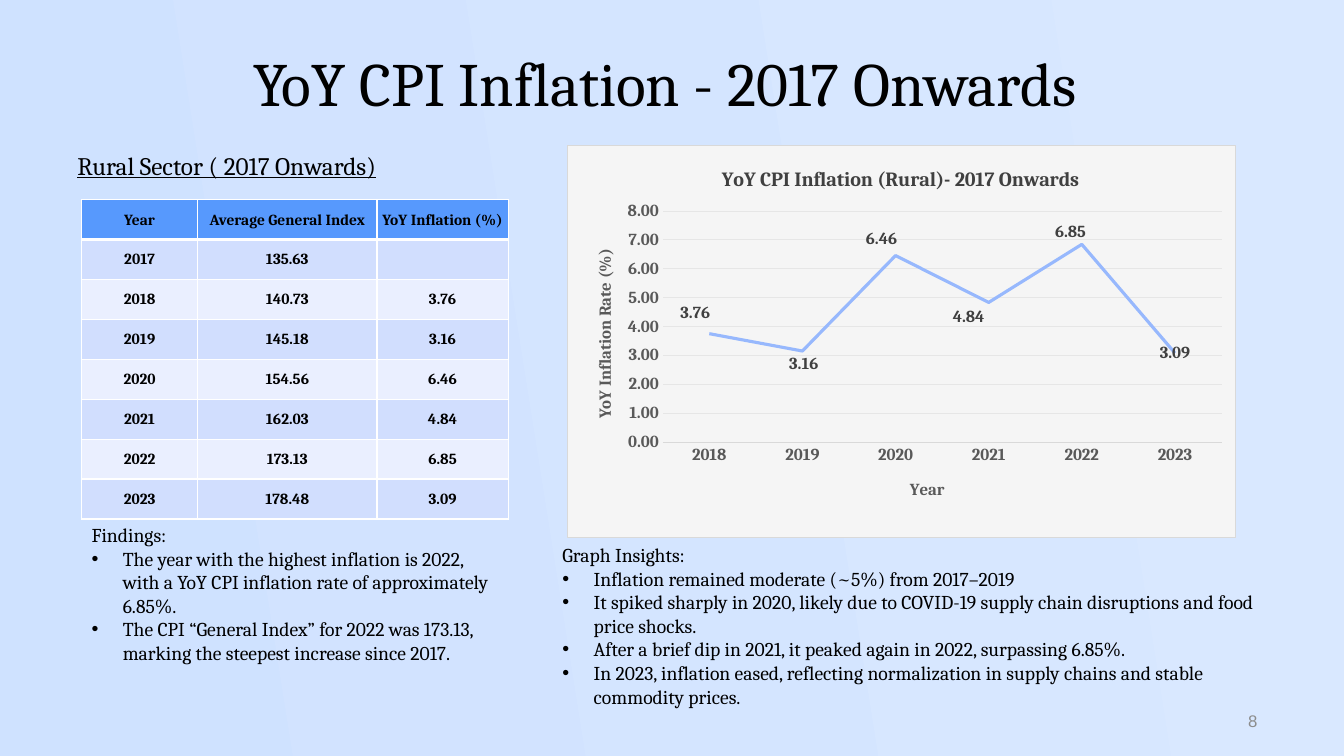
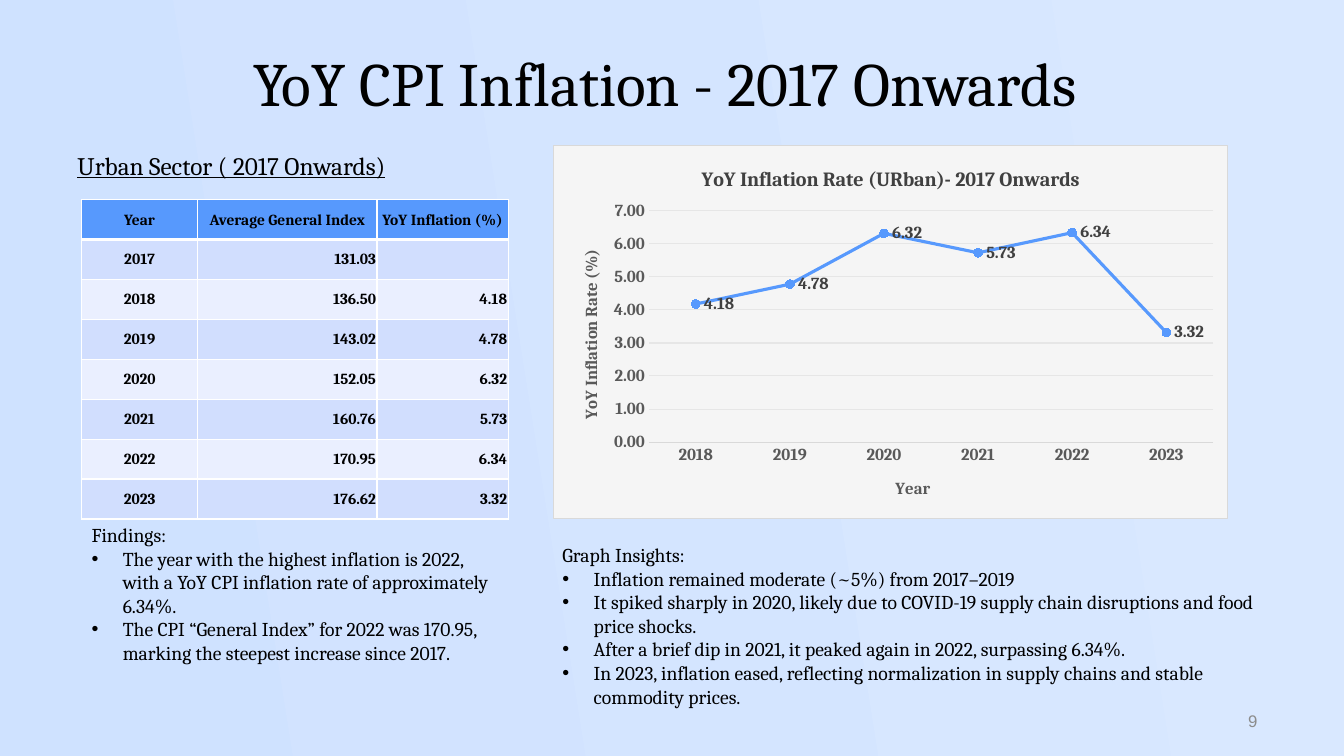
"""Build two slides on yearly CPI inflation in the rural and urban sectors."""
from lxml import etree
from pptx import Presentation
from pptx.chart.data import CategoryChartData
from pptx.dml.color import RGBColor
from pptx.enum import chart as charts, text as texts
from pptx.oxml import parse_xml
from pptx.oxml.ns import nsdecls, qn
from pptx.util import Inches, Pt

COLORS = {
    "sky": "CFE2FF", "pale sky": "D9E8FF", "header": "5799FD", "band": "D1DEFE",
    "light band": "EAEFFF", "white": "FFFFFF", "black": "000000", "number": "8C8C8C",
    "panel": "F5F5F5", "outline": "D9D9D9", "grid": "E6E6E6", "axis": "595959",
    "label": "404040", "rural": "97B8FD", "urban": "5799FD",
}
RGB = {role: RGBColor.from_string(value) for role, value in COLORS.items()}
FONT = "Cambria"
CENTER, RIGHT = texts.PP_ALIGN.CENTER, texts.PP_ALIGN.RIGHT
MIDDLE, BOTTOM = texts.MSO_ANCHOR.MIDDLE, texts.MSO_ANCHOR.BOTTOM
YEARS = ["2017", "2018", "2019", "2020", "2021", "2022", "2023"]
HEADINGS = ["Year", "Average General Index", "YoY Inflation (%)"]
COLUMN_WIDTHS = [1.15, 1.78, 1.3]

SECTORS = [
    dict(
        name="Rural", page="8", color=RGB["rural"], align=CENTER, markers=False,
        index=["135.63", "140.73", "145.18", "154.56", "162.03", "173.13", "178.48"],
        rates=["", "3.76", "3.16", "6.46", "4.84", "6.85", "3.09"],
        chart_title="YoY CPI Inflation (Rural)- 2017 Onwards ",
        chart_at=(5.62, 1.44, 6.64, 3.9), title_left=1.5, top_rate=8,
        label_position=charts.XL_LABEL_POSITION.CENTER,
        label_shifts=[(-0.14, -0.2), (0.01, 0.13), (-0.14, -0.16), (-0.2, 0.15), (-0.11, -0.12)],
    ),
    dict(
        name="Urban", page="9", color=RGB["urban"], align=RIGHT, markers=True,
        index=["131.03", "136.50", "143.02", "152.05", "160.76", "170.95", "176.62"],
        rates=["", "4.18", "4.78", "6.32", "5.73", "6.34", "3.32"],
        chart_title="YoY Inflation Rate (URban)- 2017 Onwards",
        chart_at=(5.48, 1.44, 6.7, 3.71), title_left=1.44, top_rate=7,
        label_position=charts.XL_LABEL_POSITION.RIGHT, label_shifts=[],
    ),
]


def write(frame, lines, size, color=RGB["black"], font=FONT, bold=False,
          underline=None, align=None, bullets=False):
    """Fill a text frame with lines; with bullets, all but the first are bulleted."""
    for number, line in enumerate(lines):
        paragraph = frame.add_paragraph() if number else frame.paragraphs[0]
        if bullets and number:
            properties = paragraph._p.get_or_add_pPr()
            properties.set("marL", str(Inches(0.31)))
            properties.set("indent", str(-Inches(0.31)))
            etree.SubElement(properties, qn("a:buFont")).set("typeface", "Arial")
            etree.SubElement(properties, qn("a:buChar")).set("char", "•")
        if align is not None:
            paragraph.alignment = align
        paragraph.font.size = Pt(size)
        run = paragraph.add_run()
        run.text = line
        run.font.name, run.font.size, run.font.bold = font, Pt(size), bold
        run.font.underline = underline
        run.font.color.rgb = color


def place(parent, position, fractions, edge=True):
    """Give a chart part a manual layout from fractions of the chart."""
    layout = parent.find(qn("c:layout"))
    if layout is None:
        layout = etree.Element(qn("c:layout"))
        parent.insert(position, layout)
    manual = etree.SubElement(layout, qn("c:manualLayout"))
    settings = {}
    if len(fractions) == 4:
        settings["layoutTarget"] = "inner"
    if edge:
        settings.update(xMode="edge", yMode="edge")
    settings.update(zip("xywh", fractions))
    for tag, value in settings.items():
        etree.SubElement(manual, qn("c:" + tag)).set("val", str(value))


prs = Presentation()
prs.slide_width, prs.slide_height = Inches(13.33), Inches(7.5)
backdrop = prs.slide_master.background.fill
backdrop.gradient()
backdrop.gradient_angle = 9
for stop, role in zip(backdrop.gradient_stops, ("sky", "pale sky")):
    stop.color.rgb = RGB[role]

for sector in SECTORS:
    slide = prs.slides.add_slide(prs.slide_layouts[6])
    peak = sector["rates"][5]

    findings = [
        "Findings:",
        f"The year with the highest inflation is 2022, with a YoY CPI inflation rate of approximately {peak}%.",
        f"The CPI “General Index” for 2022 was {sector['index'][5]}, marking the steepest increase since 2017.",
    ]
    insights = [
        "Graph Insights:",
        "Inflation remained moderate (~5%) from 2017–2019",
        "It spiked sharply in 2020, likely due to COVID-19 supply chain disruptions and food price shocks.",
        f"After a brief dip in 2021, it peaked again in 2022, surpassing {peak}%.",
        "In 2023, inflation eased, reflecting normalization in supply chains and stable commodity prices.",
    ]
    blocks = [
        ((0.76, 0.39, 11.81, 0.79), BOTTOM, 0, ["YoY CPI Inflation - 2017 Onwards "],
         dict(size=44, align=CENTER)),
        ((0.67, 1.44, 4.21, 0.54), None, 0.1, [f"{sector['name']} Sector ( 2017 Onwards)"],
         dict(size=18, underline=True)),
        ((0.81, 5.14, 4.23, 1.75), None, 0.1, findings, dict(size=14, bullets=True)),
        ((5.48, 5.34, 7.47, 2.1), None, 0.1, insights, dict(size=14, bullets=True)),
        ((9.57, 6.95, 3, 0.4), MIDDLE, 0.1, [sector["page"]],
         dict(size=12, font="Arial", color=RGB["number"], align=RIGHT)),
    ]
    for at, anchor, inset, lines, style in blocks:
        frame = slide.shapes.add_textbox(*map(Inches, at)).text_frame
        frame.word_wrap = True
        frame.margin_left = frame.margin_right = Inches(inset)
        frame.margin_top = frame.margin_bottom = Inches(inset / 2)
        if anchor is not None:
            frame.vertical_anchor = anchor
        write(frame, lines, **style)

    rows = [HEADINGS, *zip(YEARS, sector["index"], sector["rates"])]
    index_table = slide.shapes.add_table(
        len(rows), 3, Inches(0.81), Inches(1.98), Inches(4.23), Inches(3.17)).table
    index_table.horz_banding = False
    for column, width in zip(index_table.columns, COLUMN_WIDTHS):
        column.width = Inches(width)
    for r, row in enumerate(rows):
        band = "header" if r == 0 else "band" if r % 2 else "light band"
        for c, value in enumerate(row):
            cell = index_table.cell(r, c)
            cell.vertical_anchor = MIDDLE
            cell.margin_left = cell.margin_right = cell.margin_top = Inches(0.01)
            cell.margin_bottom = 0
            cell.fill.solid()
            cell.fill.fore_color.rgb = RGB[band]
            align = sector["align"] if r and c else CENTER
            write(cell.text_frame, [value], 11, bold=True, align=align)
            for place_in_order, side in enumerate("LRTB"):
                thick = (r, side) in ((0, "B"), (1, "T"))
                cell._tc.get_or_add_tcPr().insert(place_in_order, parse_xml(
                    f'<a:ln{side} {nsdecls("a")} w="{Pt(3 if thick else 1)}"><a:solidFill>'
                    f'<a:srgbClr val="{COLORS["white"]}"/></a:solidFill></a:ln{side}>'))

    data = CategoryChartData(number_format="0.00")
    data.categories = YEARS[1:]
    data.add_series("Series 1", [float(rate) for rate in sector["rates"][1:]])
    kind = charts.XL_CHART_TYPE.LINE_MARKERS if sector["markers"] else charts.XL_CHART_TYPE.LINE
    chart = slide.shapes.add_chart(kind, *map(Inches, sector["chart_at"]), data).chart
    width, height = sector["chart_at"][2:]
    chart.has_legend = False
    chart.font.name, chart.font.size, chart.font.bold = FONT, Pt(12), True
    chart.element.find(qn("c:chart")).addnext(parse_xml(
        f'<c:spPr {nsdecls("c", "a")}><a:solidFill><a:srgbClr val="{COLORS["panel"]}"/></a:solidFill>'
        f'<a:ln w="{Pt(0.75)}"><a:solidFill><a:srgbClr val="{COLORS["outline"]}"/></a:solidFill></a:ln>'
        '</c:spPr>'))

    year_axis, rate_axis = chart.category_axis, chart.value_axis
    headings = [
        (chart.chart_title, sector["chart_title"], 14.4, "label", (sector["title_left"], 0.17)),
        (year_axis.axis_title, "Year", 12, "axis", (3.37, 3.28)),
        (rate_axis.axis_title, "YoY Inflation Rate (%)", 12, "axis", (0.24, 1)),
    ]
    for heading, words, size, role, (left, top) in headings:
        write(heading.text_frame, [words], size, color=RGB[role], bold=True)
        place(heading._element, 1, (round(left / width, 3), round(top / height, 3)))
    plot_size = (0.95, 0.65, width - 1.09, 2.3)
    place(chart.element.find(".//" + qn("c:plotArea")), 0,
          [round(length / whole, 3) for length, whole in zip(plot_size, (width, height) * 2)])

    for axis in (year_axis, rate_axis):
        axis.major_tick_mark = axis.minor_tick_mark = charts.XL_TICK_MARK.NONE
        labels = axis.tick_labels
        labels.font.name, labels.font.size, labels.font.bold = FONT, Pt(12), True
        labels.font.color.rgb = RGB["axis"]
    year_axis.format.line.color.rgb = RGB["outline"]
    year_axis.format.line.width = Pt(0.75)
    rate_axis.format.line.fill.background()
    rate_axis.minimum_scale, rate_axis.maximum_scale = 0, sector["top_rate"]
    rate_axis.major_unit = 1
    rate_axis.tick_labels.number_format = "0.00"
    rate_axis.tick_labels.number_format_is_linked = False
    rate_axis.has_major_gridlines = True
    rate_axis.major_gridlines.format.line.color.rgb = RGB["grid"]
    rate_axis.major_gridlines.format.line.width = Pt(0.75)

    chart.plots[0].vary_by_categories = False
    inflation = chart.plots[0].series[0]
    inflation.smooth = False
    inflation.format.line.color.rgb = sector["color"]
    inflation.format.line.width = Pt(2.25)
    if sector["markers"]:
        inflation.marker.style = charts.XL_MARKER_STYLE.CIRCLE
        inflation.marker.size = 6
        inflation.marker.format.fill.solid()
        inflation.marker.format.fill.fore_color.rgb = sector["color"]
        inflation.marker.format.line.color.rgb = sector["color"]

    rate_labels = inflation.data_labels
    rate_labels.show_value = True
    rate_labels.number_format, rate_labels.number_format_is_linked = "0.00", False
    shifted = [inflation.points[i].data_label for i in range(len(sector["label_shifts"]))]
    for label in [rate_labels, *shifted]:
        label.position = sector["label_position"]
        label.font.name, label.font.size, label.font.bold = FONT, Pt(12), True
        label.font.color.rgb = RGB["label"]
    for label, (right, down) in zip(chart.element.findall(".//" + qn("c:dLbl")),
                                    sector["label_shifts"]):
        place(label, 1, (round(right / width, 3), round(down / height, 3)), edge=False)
    for leader in chart.element.findall(".//" + qn("c:showLeaderLines")):
        leader.set("val", "0")

prs.save("out.pptx")
